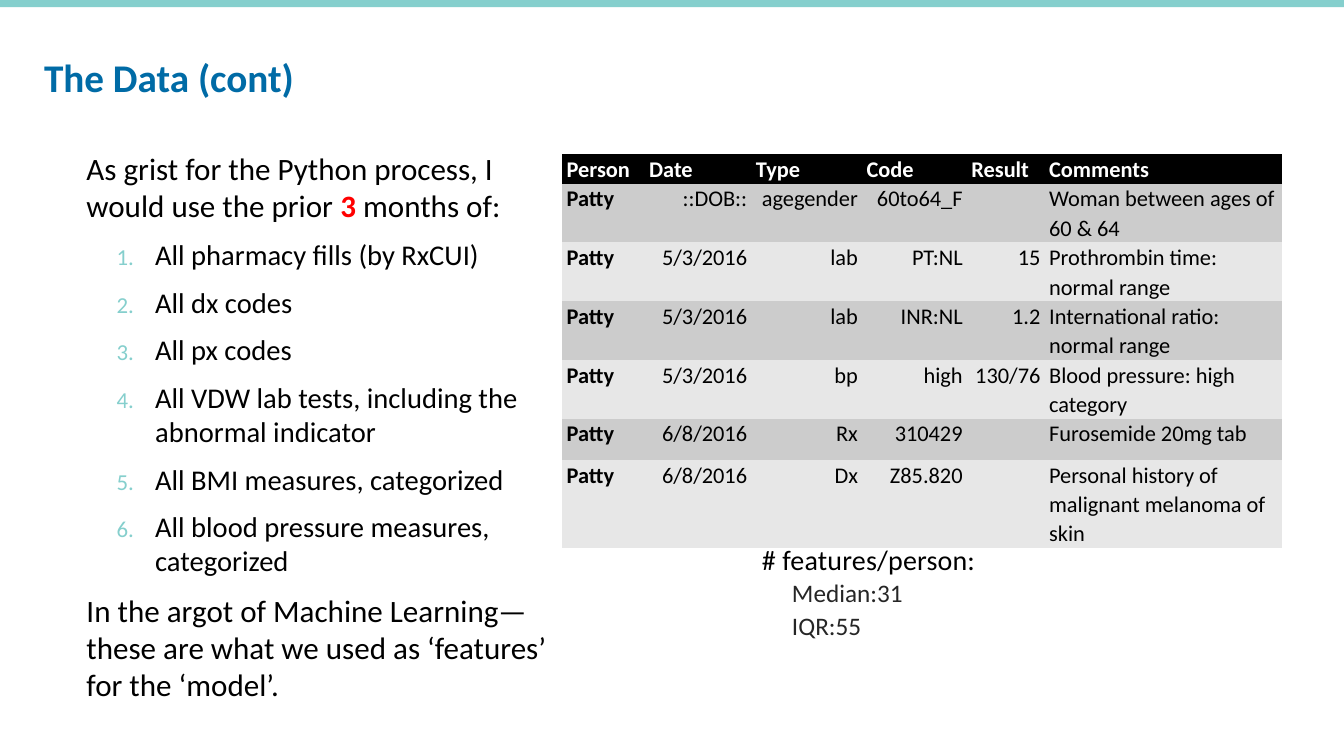
import dataclasses
import typing

import lxml.etree
import pptx
import pptx.dml.color
import pptx.enum.shapes
import pptx.enum.text
import pptx.oxml.ns
import pptx.util

Cm = pptx.util.Cm
Align = pptx.enum.text.PP_ALIGN
Anchor = pptx.enum.text.MSO_ANCHOR


@dataclasses.dataclass(frozen=True)
class Theme:
    font: str = "Calibri"
    accent: str = "85CFCD"
    title: str = "006BA6"
    text: str = "000000"
    stat: str = "262626"
    emphasis: str = "FF0000"
    header_fill: str = "000000"
    header_text: str = "FFFFFF"
    bands: tuple[str, str] = ("CCCCCC", "E7E7E7")
    title_size: float = 28
    body_size: float = 22.2
    item_size: float = 20.4
    heading_size: float = 20
    stat_size: float = 18
    table_size: float = 16


THEME = Theme()


@dataclasses.dataclass(frozen=True)
class Span:
    text: str
    size: float
    color: str = THEME.text
    bold: bool = False
    tracking: int = 0


@dataclasses.dataclass(frozen=True)
class Para:
    spans: tuple[Span, ...]
    before: float = 0
    after: float = 0
    line_spacing: float = 1.0
    margin: float = 0
    indent: float = 0
    numbered: bool = False


@dataclasses.dataclass(frozen=True)
class TextBlock:
    left: float
    top: float
    width: float
    height: float
    paras: tuple[Para, ...]
    anchor: Anchor = Anchor.TOP


@dataclasses.dataclass(frozen=True)
class Record:
    height: float
    values: tuple[str, ...]


def body_para(*spans: Span) -> Para:
    return Para(spans, before=3.8, after=5.7)


def numbered_item(text: str) -> Para:
    return Para((Span(text, THEME.item_size),), before=3.8, after=5.7,
                margin=1.73, indent=-0.97, numbered=True)


def stat_line(text: str) -> Para:
    return Para((Span(text, THEME.stat_size, THEME.stat),), before=3, after=3,
                line_spacing=0.8, margin=0.76)


TITLE = TextBlock(0.86, 0.43, 32.21, 2.21, (
    Para((Span("The Data (cont)", THEME.title_size, THEME.title, True),), line_spacing=0.8),
), Anchor.BOTTOM)

FEATURE_SOURCES = (
    "All pharmacy fills (by RxCUI)",
    "All dx codes",
    "All px codes",
    "All VDW lab tests, including the abnormal indicator",
    "All BMI measures, categorized",
    "All blood pressure measures, categorized",
)

BODY = TextBlock(1.93, 3.63, 12.22, 12.09, (
    body_para(
        Span("As grist for the Python process, I would use the prior ", THEME.body_size),
        Span("3", THEME.body_size, THEME.emphasis, True),
        Span(" months of:", THEME.body_size),
    ),
    *(numbered_item(source) for source in FEATURE_SOURCES),
    body_para(Span("In the argot of Machine Learning—these are what we used as "
                   "‘features’ for the ‘model’.", THEME.body_size)),
))

FEATURE_COUNTS = TextBlock(18.95, 13.67, 8.56, 2.77, (
    Para((Span("# features/person:", THEME.heading_size, tracking=10),),
         before=14, after=2, line_spacing=0.85),
    stat_line("Median:31"),
    stat_line("IQR:55"),
))

COLUMN_WIDTHS = (2.08, 2.69, 2.79, 2.64, 1.96, 5.97)
LEFT_COLUMNS = ("Person", "Comments")
LINE = 0.74
RECORDS = (
    Record(LINE, ("Person", "Date", "Type", "Code", "Result", "Comments")),
    Record(2 * LINE, ("Patty", "::DOB::", "agegender", "60to64_F", "",
                      "Woman between ages of 60 & 64")),
    Record(2 * LINE, ("Patty", "5/3/2016", "lab", "PT:NL", "15",
                      "Prothrombin time: normal range")),
    Record(2 * LINE, ("Patty", "5/3/2016", "lab", "INR:NL", "1.2",
                      "International ratio: normal range")),
    Record(2 * LINE, ("Patty", "5/3/2016", "bp", "high", "130/76",
                      "Blood pressure: high category")),
    Record(1.04, ("Patty", "6/8/2016", "Rx", "310429", "", "Furosemide 20mg tab")),
    Record(3 * LINE, ("Patty", "6/8/2016", "Dx", "Z85.820", "",
                      "Personal history of malignant melanoma of skin")),
)
PLAIN_TABLE_STYLE = "{2D5ABB26-0587-4C30-8999-92F81FD0307C}"


def rgb(color: str) -> pptx.dml.color.RGBColor:
    return pptx.dml.color.RGBColor.from_string(color)


def style_run(run: typing.Any, size: float, color: str, bold: bool) -> None:
    run.font.name = THEME.font
    run.font.size = pptx.util.Pt(size)
    run.font.bold = bold
    run.font.color.rgb = rgb(color)


def add_number(properties: typing.Any) -> None:
    """Give a paragraph a small automatic number in the accent colour."""
    qn = pptx.oxml.ns.qn
    color = lxml.etree.SubElement(properties, qn("a:buClr"))
    lxml.etree.SubElement(color, qn("a:srgbClr"), val=THEME.accent)
    lxml.etree.SubElement(properties, qn("a:buSzPct"), val="80000")
    lxml.etree.SubElement(properties, qn("a:buAutoNum"), type="arabicPeriod")


def add_text(slide: typing.Any, block: TextBlock) -> None:
    frame = slide.shapes.add_textbox(
        Cm(block.left), Cm(block.top), Cm(block.width), Cm(block.height)).text_frame
    frame.word_wrap = True
    frame.vertical_anchor = block.anchor
    for index, para in enumerate(block.paras):
        paragraph = frame.add_paragraph() if index else frame.paragraphs[0]
        paragraph.line_spacing = para.line_spacing
        paragraph.space_before = pptx.util.Pt(para.before)
        paragraph.space_after = pptx.util.Pt(para.after)
        properties = paragraph._p.get_or_add_pPr()
        properties.set("marL", str(Cm(para.margin)))
        properties.set("indent", str(Cm(para.indent)))
        if para.numbered:
            add_number(properties)
        for span in para.spans:
            run = paragraph.add_run()
            run.text = span.text
            style_run(run, span.size, span.color, span.bold)
            if span.tracking:
                run.font._element.set("spc", str(span.tracking))


def add_records(slide: typing.Any) -> None:
    graphic = slide.shapes.add_table(
        len(RECORDS), len(COLUMN_WIDTHS), Cm(14.17), Cm(3.89),
        Cm(sum(COLUMN_WIDTHS)), Cm(sum(record.height for record in RECORDS)))
    table = graphic.table
    table.horz_banding = False
    for style in graphic._element.iter(pptx.oxml.ns.qn("a:tableStyleId")):
        style.text = PLAIN_TABLE_STYLE
    for column, width in zip(table.columns, COLUMN_WIDTHS):
        column.width = Cm(width)
    for row, record in enumerate(RECORDS):
        header = row == 0
        table.rows[row].height = Cm(record.height)
        for column, (heading, value) in enumerate(zip(RECORDS[0].values, record.values)):
            cell = table.cell(row, column)
            cell.margin_left = cell.margin_right = Cm(0.11)
            cell.margin_top = cell.margin_bottom = 0
            cell.fill.solid()
            cell.fill.fore_color.rgb = rgb(
                THEME.header_fill if header else THEME.bands[(row - 1) % 2])
            paragraph = cell.text_frame.paragraphs[0]
            paragraph.text = value
            paragraph.line_spacing = 1.07
            paragraph.alignment = (
                Align.LEFT if header or heading in LEFT_COLUMNS else Align.RIGHT)
            for run in paragraph.runs:
                style_run(run, THEME.table_size,
                          THEME.header_text if header else THEME.text,
                          header or column == 0)


def add_top_band(slide: typing.Any, width: int) -> None:
    band = slide.shapes.add_shape(
        pptx.enum.shapes.MSO_SHAPE.RECTANGLE, 0, 0, width, Cm(0.18))
    band.shadow.inherit = False
    band.fill.solid()
    band.fill.fore_color.rgb = rgb(THEME.accent)
    band.line.fill.background()


def main() -> None:
    deck = pptx.Presentation()
    deck.slide_width, deck.slide_height = Cm(33.87), Cm(19.05)
    slide = deck.slides.add_slide(deck.slide_layouts[6])
    add_top_band(slide, deck.slide_width)
    add_text(slide, TITLE)
    add_text(slide, BODY)
    add_records(slide)
    add_text(slide, FEATURE_COUNTS)
    deck.save("out.pptx")


if __name__ == "__main__":
    main()
